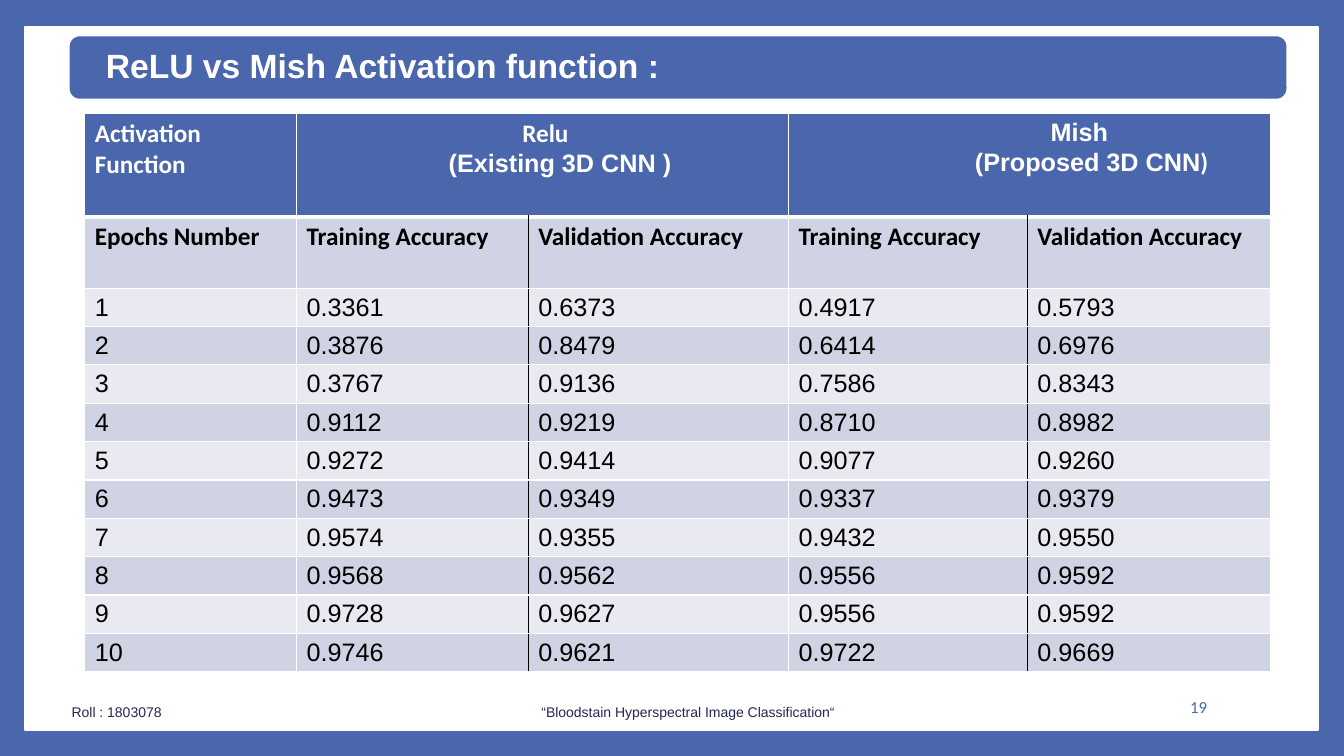
from dataclasses import dataclass

from lxml.etree import SubElement
from pptx import Presentation
from pptx.dml.color import RGBColor
from pptx.enum.shapes import MSO_SHAPE as Preset
from pptx.enum.text import MSO_ANCHOR as Anchor, PP_ALIGN as Align
from pptx.oxml import parse_xml
from pptx.oxml.ns import nsdecls, qn
from pptx.slide import Slide
from pptx.table import Table, _Cell as Cell
from pptx.text.text import TextFrame, _Paragraph as Paragraph
from pptx.util import Inches, Pt

COLORS = {
    "blue": "4A66AC",
    "navy": "242852",
    "white": "FFFFFF",
    "black": "000000",
    "dark_band": "D0D3E3",
    "light_band": "E9EAF1",
}

FORMATS = {
    "title": {"name": "Arial", "size": Pt(24), "bold": True},
    "heading": {"name": "Calibri", "size": Pt(18), "bold": True},
    "heading_arial": {"name": "Arial", "size": Pt(18), "bold": True},
    "value": {"name": "Arial", "size": Pt(18), "bold": False},
    "footer": {"name": "Arial", "size": Pt(10), "bold": False},
    "number": {"name": "Calibri", "size": Pt(12), "bold": False},
}


@dataclass(frozen=True)
class Box:
    left: float
    top: float
    width: float
    height: float

    def lengths(self) -> list[Inches]:
        return [Inches(v) for v in (self.left, self.top, self.width, self.height)]


@dataclass(frozen=True)
class Panel:
    box: Box
    preset: Preset
    color: str
    rounding: float | None = None


@dataclass(frozen=True)
class Label:
    text: str
    box: Box
    style: str
    color: str
    frame: dict
    paragraph: dict
    tab: float | None = None


@dataclass(frozen=True)
class HeadingLine:
    runs: tuple[tuple[str, str], ...]
    indent: float = 0


PANELS = [
    Panel(Box(0.25, 0.27, 12.82, 6.97), Preset.RECTANGLE, "white"),
    Panel(Box(0.68, 0.35, 12.09, 0.64), Preset.ROUNDED_RECTANGLE, "blue", 0.17),
]

LABELS = [
    Label("ReLU vs Mish Activation function :", Box(0.93, 0.45, 11.77, 0.45),
          "title", "white",
          {"vertical_anchor": Anchor.MIDDLE, "margin_left": Inches(0.12)},
          {"line_spacing": 0.9}),
    Label("Roll : 1803078\t“Bloodstain Hyperspectral Image Classification“",
          Box(0.35, 6.95, 9.42, 0.54), "footer", "navy",
          {"vertical_anchor": Anchor.TOP, "margin_left": Inches(0.36)},
          {"line_spacing": 0.9}, 4.66),
    Label("19", Box(10.2, 6.81, 1.87, 0.4), "number", "blue",
          {"vertical_anchor": Anchor.MIDDLE}, {"alignment": Align.RIGHT}),
]

TABLE_BOX = Box(0.84, 1.13, 11.76, 5.53)
COLUMN_WIDTHS = [2.1, 2.3, 2.58, 2.37, 2.41]
ROW_HEIGHTS = [1.02, 0.71] + [0.38] * 10
HEADER = {
    0: [HeadingLine((("Activation Function", "heading"),))],
    1: [HeadingLine((("Relu", "heading"),), 2.14),
        HeadingLine((("(Existing 3D CNN )", "heading_arial"),), 1.41)],
    3: [HeadingLine((("Mish", "heading_arial"),), 2.5),
        HeadingLine((("(Proposed 3D CNN", "heading_arial"), (")", "heading")), 1.75)],
}
COLUMN_NAMES = ["Epochs Number"] + ["Training Accuracy", "Validation Accuracy"] * 2
ACCURACIES = [
    ("0.3361", "0.6373", "0.4917", "0.5793"),
    ("0.3876", "0.8479", "0.6414", "0.6976"),
    ("0.3767", "0.9136", "0.7586", "0.8343"),
    ("0.9112", "0.9219", "0.8710", "0.8982"),
    ("0.9272", "0.9414", "0.9077", "0.9260"),
    ("0.9473", "0.9349", "0.9337", "0.9379"),
    ("0.9574", "0.9355", "0.9432", "0.9550"),
    ("0.9568", "0.9562", "0.9556", "0.9592"),
    ("0.9728", "0.9627", "0.9556", "0.9592"),
    ("0.9746", "0.9621", "0.9722", "0.9669"),
]


def rgb(color: str) -> RGBColor:
    return RGBColor.from_string(COLORS[color])


def apply(target: object, values: dict) -> None:
    for name, value in values.items():
        setattr(target, name, value)


def add_run(paragraph: Paragraph, text: str, style: str, color: str) -> None:
    run = paragraph.add_run()
    run.text = text
    apply(run.font, FORMATS[style])
    run.font.color.rgb = rgb(color)


def add_panel(slide: Slide, panel: Panel) -> None:
    shape = slide.shapes.add_shape(panel.preset, *panel.box.lengths())
    shape.shadow.inherit = False
    shape.fill.solid()
    shape.fill.fore_color.rgb = rgb(panel.color)
    shape.line.color.rgb = rgb("white")
    shape.line.width = Pt(1.5)
    if panel.rounding is not None:
        shape.adjustments[0] = panel.rounding


def add_label(slide: Slide, label: Label) -> None:
    frame = slide.shapes.add_textbox(*label.box.lengths()).text_frame
    frame.word_wrap = True
    apply(frame, label.frame)
    paragraph = frame.paragraphs[0]
    apply(paragraph, label.paragraph)
    if label.tab is not None:
        tabs = SubElement(paragraph._p.get_or_add_pPr(), qn("a:tabLst"))
        SubElement(tabs, qn("a:tab"), pos=str(Inches(label.tab)), algn="l")
    add_run(paragraph, label.text, label.style, label.color)


def style_cell(cell: Cell, row: int, column: int) -> None:
    band = "blue" if row == 0 else "dark_band" if row % 2 else "light_band"
    cell.fill.solid()
    cell.fill.fore_color.rgb = rgb(band)
    borders = {
        "L": ("black" if row and column in (2, 4) else "white", 1),
        "R": ("black" if row and column in (1, 3) else "white", 1),
        "T": ("white", 3 if row == 1 else 1),
        "B": ("white", 3 if row == 0 else 1),
    }
    properties = cell._tc.get_or_add_tcPr()
    for position, (side, (color, width)) in enumerate(borders.items()):
        properties.insert(position, parse_xml(
            f'<a:ln{side} {nsdecls("a")} w="{Pt(width)}"><a:solidFill>'
            f'<a:srgbClr val="{COLORS[color]}"/></a:solidFill></a:ln{side}>'))


def fill_heading(frame: TextFrame, lines: list[HeadingLine]) -> None:
    for index, line in enumerate(lines):
        paragraph = frame.add_paragraph() if index else frame.paragraphs[0]
        paragraph._p.get_or_add_pPr().set("marL", str(Inches(line.indent)))
        for text, style in line.runs:
            add_run(paragraph, text, style, "white")


def add_accuracy_table(slide: Slide) -> Table:
    table = slide.shapes.add_table(
        len(ROW_HEIGHTS), len(COLUMN_WIDTHS), *TABLE_BOX.lengths()).table
    for column, width in zip(table.columns, COLUMN_WIDTHS):
        column.width = Inches(width)
    for row, height in zip(table.rows, ROW_HEIGHTS):
        row.height = Inches(height)
    for row in range(len(ROW_HEIGHTS)):
        for column in range(len(COLUMN_WIDTHS)):
            style_cell(table.cell(row, column), row, column)
    for column, lines in HEADER.items():
        if column:
            table.cell(0, column).merge(table.cell(0, column + 1))
        fill_heading(table.cell(0, column).text_frame, lines)
    epochs = [(str(epoch), *values) for epoch, values in enumerate(ACCURACIES, 1)]
    for row, texts in enumerate([COLUMN_NAMES, *epochs], 1):
        style = "heading" if row == 1 else "value"
        for column, text in enumerate(texts):
            paragraph = table.cell(row, column).text_frame.paragraphs[0]
            add_run(paragraph, text, style, "black")
    return table


def main() -> None:
    presentation = Presentation()
    apply(presentation, {"slide_width": Inches(13.33), "slide_height": Inches(7.5)})
    slide = presentation.slides.add_slide(presentation.slide_layouts[6])
    slide.background.fill.solid()
    slide.background.fill.fore_color.rgb = rgb("blue")
    for panel in PANELS:
        add_panel(slide, panel)
    add_accuracy_table(slide)
    for label in LABELS:
        add_label(slide, label)
    presentation.save("out.pptx")


if __name__ == "__main__":
    main()
